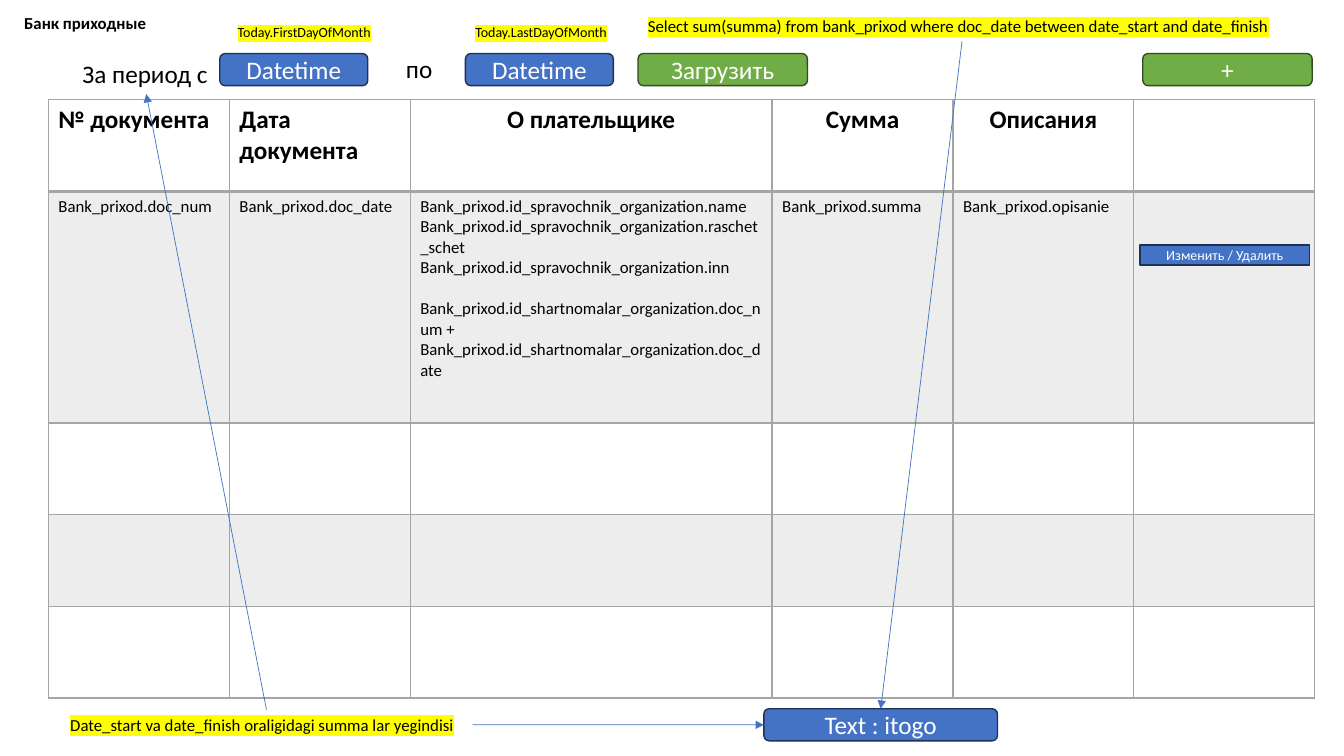
from lxml import etree
from pptx import Presentation
from pptx import util as u
from pptx.dml.color import RGBColor
from pptx.enum import shapes, text
from pptx.oxml import ns

BLACK = RGBColor(0x00, 0x00, 0x00)
WHITE = RGBColor(0xFF, 0xFF, 0xFF)
BLUE = RGBColor(0x44, 0x72, 0xC4)
NAVY = RGBColor(0x1E, 0x32, 0x56)
GREEN = RGBColor(0x70, 0xAD, 0x47)
DARK_GREEN = RGBColor(0x31, 0x4C, 0x1F)
GREY = RGBColor(0xA5, 0xA5, 0xA5)
YELLOW = RGBColor(0xFF, 0xFF, 0x00)

FONT = "Calibri"
TOP, LEFT, BOTTOM, RIGHT = 0, 1, 2, 3
CENTER = text.PP_ALIGN.CENTER
ROUNDED = shapes.MSO_SHAPE.ROUNDED_RECTANGLE

COLUMN_WIDTHS = [4.56, 4.56, 9.12, 4.56, 4.56, 4.56]
ROW_HEIGHTS = [2.31, 5.84, 2.31, 2.31, 2.31]
HEADERS = ["№ документа", "Дата документа", "О плательщике", "Сумма", "Описания"]
PAYER_FIELDS = [
    "Bank_prixod.id_spravochnik_organization.name",
    "Bank_prixod.id_spravochnik_organization.raschet_schet",
    "Bank_prixod.id_spravochnik_organization.inn",
    "Bank_prixod.id_shartnomalar_organization.doc_num +",
    "Bank_prixod.id_shartnomalar_organization.doc_date",
]
FIELDS = [
    "Bank_prixod.doc_num",
    "Bank_prixod.doc_date",
    "\n".join(PAYER_FIELDS),
    "Bank_prixod.summa",
    "Bank_prixod.opisanie",
]


def write(frame, words, size, color=BLACK, bold=False, align=None, highlight=None):
    frame.text = words
    for para in frame.paragraphs:
        para.alignment = align
        for span in para.runs:
            font = span.font
            font.name, font.size, font.bold = FONT, u.Pt(size), bold
            font.color.rgb = color
            if highlight is not None:
                mark = etree.Element(ns.qn("a:highlight"))
                etree.SubElement(mark, ns.qn("a:srgbClr"), val=str(highlight))
                span._r.rPr.find(ns.qn("a:solidFill")).addnext(mark)


def add_label(page, words, left, top, width, height, size, **style):
    box = page.shapes.add_textbox(u.Cm(left), u.Cm(top), u.Cm(width), u.Cm(height))
    write(box.text_frame, words, size, **style)
    box.text_frame.word_wrap = False
    box.text_frame.auto_size = text.MSO_AUTO_SIZE.SHAPE_TO_FIT_TEXT
    return box


def add_button(page, words, left, top, width, height=0.81, fill=BLUE, line=NAVY,
               size=18, kind=ROUNDED):
    button = page.shapes.add_shape(kind, u.Cm(left), u.Cm(top), u.Cm(width), u.Cm(height))
    button.shadow.inherit = False
    button.fill.solid()
    button.fill.fore_color.rgb = fill
    button.line.color.rgb = line
    button.line.width = u.Pt(1)
    write(button.text_frame, words, size, color=WHITE, align=CENTER)
    button.text_frame.vertical_anchor = text.MSO_ANCHOR.MIDDLE
    return button


def add_arrow(page, start, start_side, end, end_side):
    arrow = page.shapes.add_connector(shapes.MSO_CONNECTOR.STRAIGHT, 0, 0, 0, 0)
    arrow.begin_connect(start, start_side)
    arrow.end_connect(end, end_side)
    arrow.line.color.rgb = BLUE
    arrow.line.width = u.Pt(0.5)
    etree.SubElement(arrow.line._get_or_add_ln(), ns.qn("a:tailEnd"), type="triangle")
    etree.SubElement(arrow._element.spPr, ns.qn("a:effectLst"))


def set_borders(cell, bottom_width):
    properties = cell._tc.get_or_add_tcPr()
    widths = {"a:lnL": 1, "a:lnR": 1, "a:lnT": 1, "a:lnB": bottom_width}
    for position, (tag, width) in enumerate(widths.items()):
        line = etree.Element(ns.qn(tag), w=str(u.Pt(width)))
        fill = etree.SubElement(line, ns.qn("a:solidFill"))
        etree.SubElement(fill, ns.qn("a:srgbClr"), val=str(GREY))
        properties.insert(position, line)


def shade(cell):
    cell.fill.solid()
    cell.fill.fore_color.rgb = GREY
    color = cell._tc.tcPr.find(".//" + ns.qn("a:srgbClr"))
    etree.SubElement(color, ns.qn("a:alpha"), val="20000")


def add_receipts_table(page):
    frame = page.shapes.add_table(
        len(ROW_HEIGHTS), len(COLUMN_WIDTHS), u.Cm(1.22), u.Cm(2.51),
        u.Cm(sum(COLUMN_WIDTHS)), u.Cm(sum(ROW_HEIGHTS)))
    table = frame.table
    table.first_row = table.horz_banding = False
    for column, width in zip(table.columns, COLUMN_WIDTHS):
        column.width = u.Cm(width)
    for index, (row, height) in enumerate(zip(table.rows, ROW_HEIGHTS)):
        row.height = u.Cm(height)
        for cell in row.cells:
            if index % 2:
                shade(cell)
            else:
                cell.fill.background()
            set_borders(cell, bottom_width=1 if index else 2)

    for index, (header, field) in enumerate(zip(HEADERS, FIELDS)):
        write(table.cell(0, index).text_frame, header, 18, bold=True,
              align=CENTER if index >= 2 else None)
        write(table.cell(1, index).text_frame, field, 12)
    # Gap between the organization and the contract fields
    table.cell(1, 2).text_frame.paragraphs[3].space_before = u.Pt(14.6)


def main():
    deck = Presentation()
    deck.slide_width, deck.slide_height = u.Cm(33.87), u.Cm(19.05)
    page = deck.slides.add_slide(deck.slide_layouts[6])

    # Title and period filter
    add_label(page, "Банк приходные", 0.36, 0.2, 3.61, 0.76, 12, bold=True)
    for left in (5.54, 11.73):
        add_button(page, "Datetime", left, 1.35, 3.73)
    period = add_label(page, "За период с", 1.83, 1.35, 3.71, 1.02, 18)
    add_label(page, "по", 9.98, 1.22, 1.19, 1.02, 18)
    add_button(page, "+", 28.8, 1.35, 4.27, fill=GREEN, line=DARK_GREEN)

    add_receipts_table(page)

    # Total with its notes
    total = add_button(page, "Text : itogo", 19.25, 17.86, 5.89)
    note = add_label(page, "Date_start va date_finish oraligidagi summa lar yegindisi",
                     1.52, 17.88, 10.39, 0.76, 12, highlight=YELLOW)
    add_arrow(page, note, RIGHT, total, LEFT)
    add_arrow(page, note, TOP, period, BOTTOM)
    add_button(page, "Изменить / Удалить", 28.73, 6.17, 4.27, 0.51, size=10,
               kind=shapes.MSO_SHAPE.RECTANGLE)
    query = add_label(
        page,
        "Select sum(summa) from bank_prixod where doc_date between date_start and date_finish",
        16.08, 0.28, 16.33, 0.76, 12, highlight=YELLOW)
    add_arrow(page, query, BOTTOM, total, TOP)

    # Load button and default dates
    add_button(page, "Загрузить", 16.08, 1.35, 4.27, fill=GREEN, line=DARK_GREEN)
    add_label(page, "Today.FirstDayOfMonth", 5.74, 0.48, 3.99, 0.69, 10, highlight=YELLOW)
    add_label(page, "Today.LastDayOfMonth", 11.73, 0.48, 3.94, 0.69, 10, highlight=YELLOW)

    deck.save("out.pptx")


if __name__ == "__main__":
    main()
